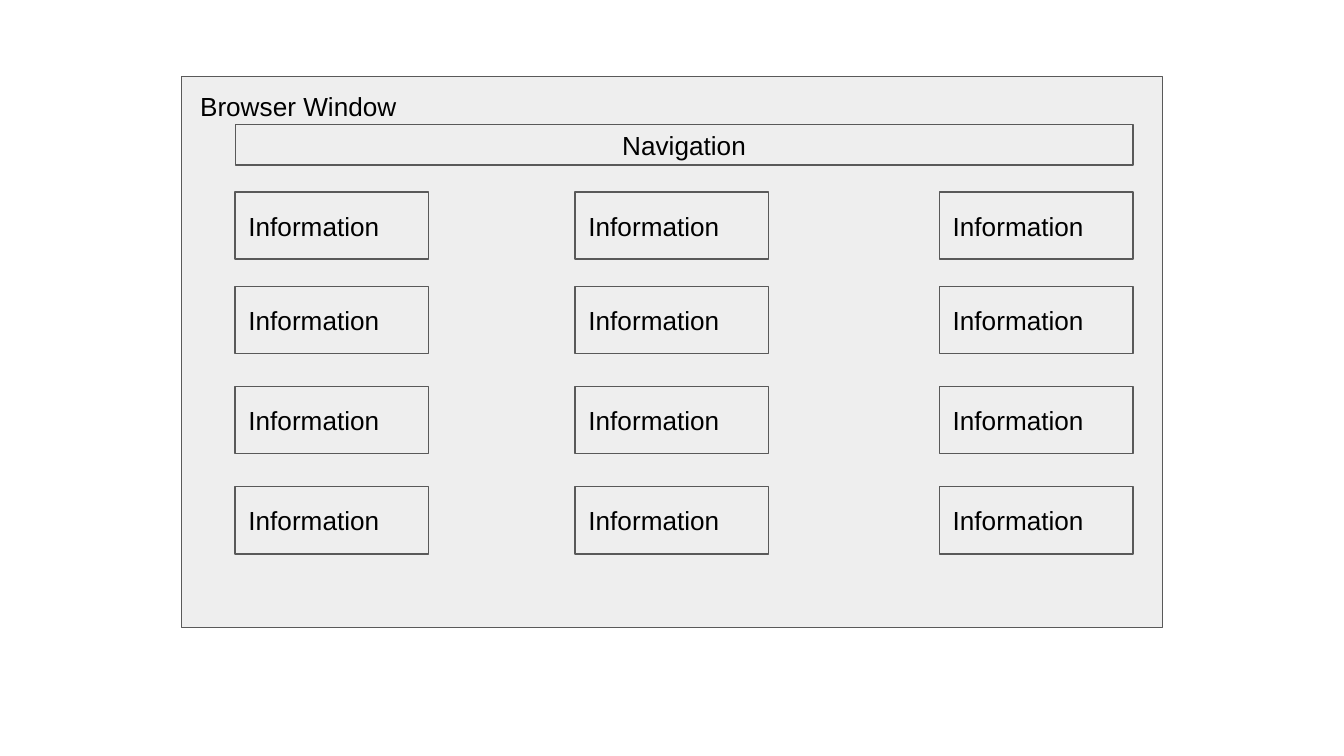
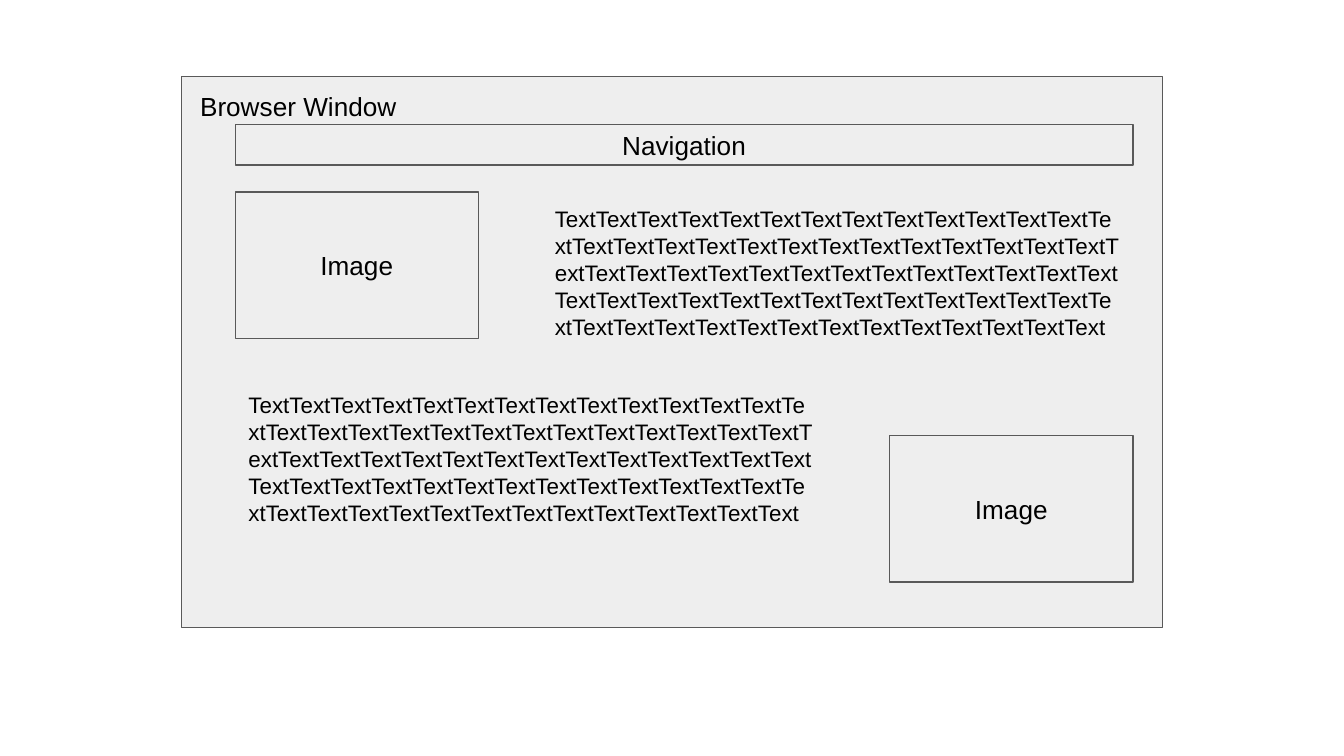
from dataclasses import dataclass
from itertools import product

import pptx
import pptx.dml.color
import pptx.enum.shapes
import pptx.enum.text
import pptx.util

PANEL_FILL = "EEEEEE"
PANEL_LINE = "595959"
TEXT_COLOR = "000000"
FONT = "Arial"
LABEL_SIZE = 14
BODY_SIZE = 12
INSET = pptx.util.Inches(0.1)

LEFT = pptx.enum.text.PP_ALIGN.LEFT
CENTER = pptx.enum.text.PP_ALIGN.CENTER
TOP = pptx.enum.text.MSO_ANCHOR.TOP
MIDDLE = pptx.enum.text.MSO_ANCHOR.MIDDLE


@dataclass(frozen=True)
class Area:
    """Percentages of the slide's width and height."""

    left: float
    top: float
    width: float
    height: float


WINDOW = Area(13.5, 10.13, 73, 72.89)
WINDOW_TITLE = Area(13.9, 10.13, 23.9, 7.82)
NAVIGATION = Area(17.5, 16.5, 66.8, 5.33)
CONTENT_LEFT = NAVIGATION.left
CONTENT_RIGHT = NAVIGATION.left + NAVIGATION.width
CONTENT_TOP = 25.4

CARD_WIDTH, CARD_HEIGHT = 14.4, 8.89
CARD_COLUMNS = (CONTENT_LEFT, 42.8, CONTENT_RIGHT - CARD_WIDTH)
CARD_ROWS = (CONTENT_TOP, 37.87, 51.1, 64.4)

IMAGE_WIDTH, IMAGE_HEIGHT = 18.1, 19.4
IMAGES = (
    Area(CONTENT_LEFT, CONTENT_TOP, IMAGE_WIDTH, IMAGE_HEIGHT),
    Area(CONTENT_RIGHT - IMAGE_WIDTH, 57.6, IMAGE_WIDTH, IMAGE_HEIGHT),
)
BODY_WIDTH, BODY_HEIGHT = 44.1, 28.8
BODIES = (
    Area(40.3, CONTENT_TOP, BODY_WIDTH, BODY_HEIGHT),
    Area(CONTENT_LEFT, 50, BODY_WIDTH, BODY_HEIGHT),
)
BODY_TEXT = "Text" * 68

deck = pptx.Presentation()
deck.slide_width = pptx.util.Inches(10)
deck.slide_height = deck.slide_width * 9 // 16


def color(value: str) -> pptx.dml.color.RGBColor:
    return pptx.dml.color.RGBColor.from_string(value)


def place(area: Area) -> tuple[int, int, int, int]:
    return (
        round(deck.slide_width * area.left / 100),
        round(deck.slide_height * area.top / 100),
        round(deck.slide_width * area.width / 100),
        round(deck.slide_height * area.height / 100),
    )


def write(box, text: str, *, size: int = LABEL_SIZE, align=LEFT, anchor=MIDDLE) -> None:
    frame = box.text_frame
    frame.word_wrap = True
    frame.vertical_anchor = anchor
    frame.margin_left = frame.margin_right = INSET
    frame.margin_top = frame.margin_bottom = INSET
    para = frame.paragraphs[0]
    para.alignment = align
    span = para.add_run()
    span.text = text
    span.font.name = FONT
    span.font.size = pptx.util.Pt(size)
    span.font.color.rgb = color(TEXT_COLOR)


def add_panel(page, area: Area, text: str = "", **text_format) -> None:
    box = page.shapes.add_shape(
        pptx.enum.shapes.MSO_SHAPE.RECTANGLE, *place(area)
    )
    box.shadow.inherit = False
    box.fill.solid()
    box.fill.fore_color.rgb = color(PANEL_FILL)
    box.line.color.rgb = color(PANEL_LINE)
    box.line.width = pptx.util.Pt(0.75)
    if text:
        write(box, text, **text_format)


def add_text(page, area: Area, text: str, **text_format) -> None:
    box = page.shapes.add_textbox(*place(area))
    write(box, text, anchor=TOP, **text_format)
    box.text_frame.auto_size = pptx.enum.text.MSO_AUTO_SIZE.SHAPE_TO_FIT_TEXT


def add_browser_page():
    page = deck.slides.add_slide(deck.slide_layouts[6])
    add_panel(page, WINDOW)
    add_text(page, WINDOW_TITLE, "Browser Window")
    add_panel(page, NAVIGATION, "Navigation", align=CENTER)
    return page


def build_card_page() -> None:
    page = add_browser_page()
    for left, top in product(CARD_COLUMNS, CARD_ROWS):
        add_panel(page, Area(left, top, CARD_WIDTH, CARD_HEIGHT), "Information")


def build_article_page() -> None:
    page = add_browser_page()
    for area in IMAGES:
        add_panel(page, area, "Image", align=CENTER)
    for area in BODIES:
        add_text(page, area, BODY_TEXT, size=BODY_SIZE)


build_card_page()
build_article_page()
deck.save("out.pptx")
